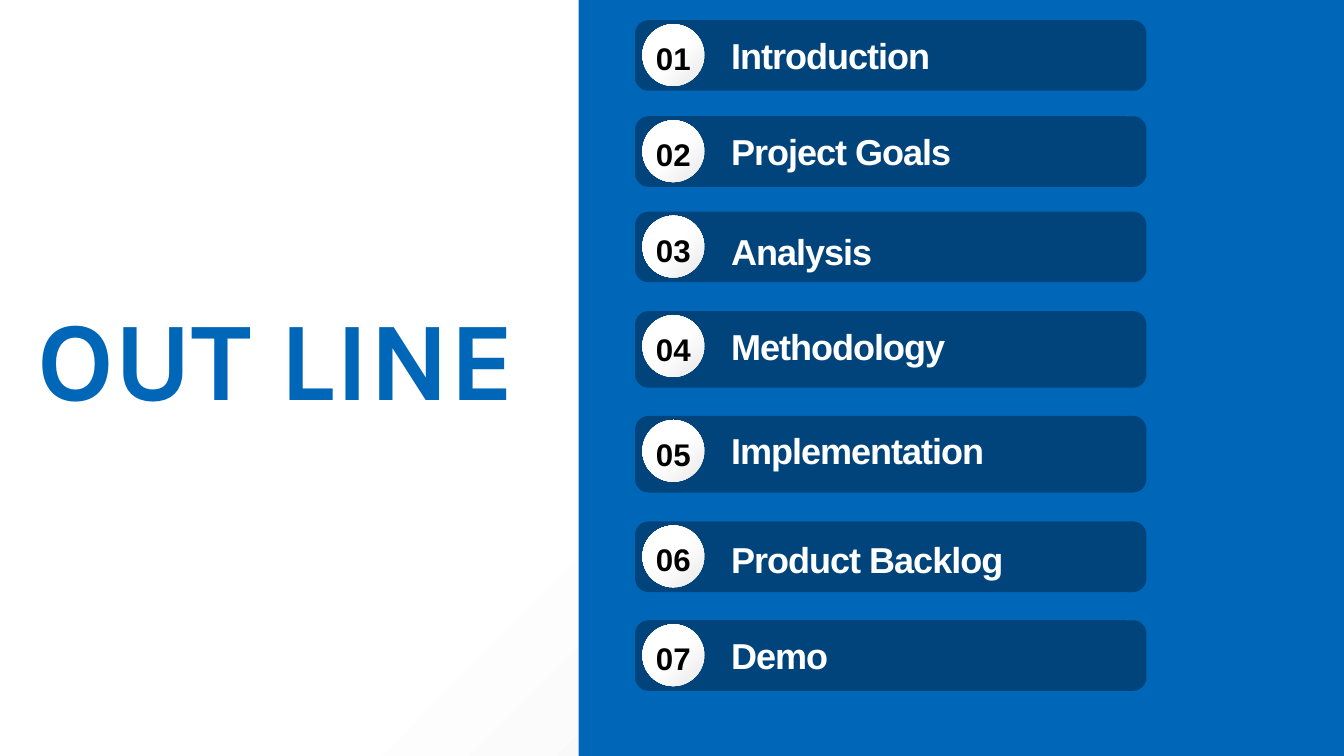
from pptx import Presentation
from pptx.dml.color import RGBColor
from pptx.enum.shapes import MSO_SHAPE as Shape
from pptx.enum.text import MSO_AUTO_SIZE as AutoSize, PP_ALIGN as Align
from pptx.oxml import parse_xml
from pptx.oxml.ns import nsdecls, qn
from pptx.util import Inches, Pt

COLORS = {
    "blue": "0066B8",
    "navy": "00447B",
    "white": "FFFFFF",
    "grey": "E8E8E8",
    "black": "000000",
}
GRADIENT_STOPS = [(0, "white"), (50, "white"), (100, "grey")]

# Font values, then line spacing, alignment and letter spacing in points
TITLE = {"font": {"name": "Karla", "size": Pt(120.3), "bold": True},
         "color": "blue", "line": 117.9, "align": Align.LEFT, "spacing": 0}
NUMBER = {"font": {"name": "Arial", "size": Pt(33.5), "bold": True},
          "color": "black", "line": 46.9, "align": Align.CENTER, "spacing": 0}
LABEL = {"font": {"name": "Arial", "size": Pt(38.6), "bold": True},
         "color": "white", "line": 46.4, "align": Align.LEFT, "spacing": -1.1}

BAR_LEFT, BAR_WIDTH, CORNER = 9.45, 7.61, 0.2
BADGE_LEFT, BADGE_SIZE = 9.56, 0.92
LABEL_LEFT = 10.88

# Label, bar top, bar height, label top, label width
TOPICS = [
    ("Introduction", 0.3, 1.05, 0.5, 3.04),
    ("Project Goals", 1.73, 1.05, 1.92, 6.17),
    ("Analysis", 3.15, 1.05, 3.41, 3.04),
    ("Methodology", 4.63, 1.14, 4.82, 5.47),
    ("Implementation", 6.19, 1.14, 6.38, 5.47),
    ("Product Backlog", 7.76, 1.05, 7.99, 4.62),
    ("Demo", 9.23, 1.05, 9.43, 3.04),
]


def rgb(name):
    return RGBColor.from_string(COLORS[name])


def set_radial_gradient(fill, owner):
    """Fill with a circular gradient that starts at the top left corner."""
    fill.gradient()
    stops = "".join(
        f'<a:gs pos="{position * 1000}"><a:srgbClr val="{COLORS[color]}"/></a:gs>'
        for position, color in GRADIENT_STOPS)
    radial = parse_xml(
        f'<a:gradFill {nsdecls("a")} rotWithShape="1"><a:gsLst>{stops}</a:gsLst>'
        '<a:path path="circle"><a:fillToRect r="100000" b="100000"/></a:path>'
        '</a:gradFill>')
    linear = next(owner.iter(qn("a:gradFill")))
    linear.getparent().replace(linear, radial)


def add_block(shapes, kind, left, top, width, height, color=None):
    shape = shapes.add_shape(
        kind, Inches(left), Inches(top), Inches(width), Inches(height))
    shape.shadow.inherit = False
    shape.line.fill.background()
    if color:
        shape.fill.solid()
        shape.fill.fore_color.rgb = rgb(color)
    else:
        set_radial_gradient(shape.fill, shape.element)
    return shape


def add_text(shapes, text, left, top, width, height, style):
    box = shapes.add_textbox(
        Inches(left), Inches(top), Inches(width), Inches(height))
    frame = box.text_frame
    frame_format = {"margin_left": 0, "margin_top": 0, "margin_right": 0,
                    "margin_bottom": 0, "word_wrap": True,
                    "auto_size": AutoSize.SHAPE_TO_FIT_TEXT}
    for name, value in frame_format.items():
        setattr(frame, name, value)
    paragraph = frame.paragraphs[0]
    paragraph.alignment = style["align"]
    paragraph.line_spacing = Pt(style["line"])
    run = paragraph.add_run()
    run.text = text
    for name, value in style["font"].items():
        setattr(run.font, name, value)
    run.font.color.rgb = rgb(style["color"])
    if style["spacing"]:
        run.font._element.set("spc", str(round(style["spacing"] * 100)))


def add_topic(slide, number, label, top, height, label_top, label_width):
    shapes = slide.shapes.add_group_shape().shapes
    bar = add_block(shapes, Shape.ROUNDED_RECTANGLE,
                    BAR_LEFT, top, BAR_WIDTH, height, "navy")
    bar.adjustments[0] = CORNER / height
    add_block(shapes, Shape.OVAL, BADGE_LEFT, top + 0.06, BADGE_SIZE, BADGE_SIZE)
    add_text(shapes, f"{number:02}", BADGE_LEFT, top + 0.19, BADGE_SIZE, 0.61, NUMBER)
    add_text(shapes, label, LABEL_LEFT, label_top, label_width, 0.65, LABEL)


def main():
    presentation = Presentation()
    presentation.slide_width = Inches(20)
    presentation.slide_height = Inches(11.25)
    slide = presentation.slides.add_slide(presentation.slide_layouts[6])

    # Background and blue panel
    set_radial_gradient(slide.background.fill, slide.element)
    add_block(slide.shapes, Shape.RECTANGLE, 8.61, -0.37, 11.91, 12.09, "blue")

    # Title
    add_text(slide.shapes, "OUT LINE", 0.56, 4.65, 7.38, 1.98, TITLE)

    # Numbered topics
    for number, topic in enumerate(TOPICS, start=1):
        add_topic(slide, number, *topic)

    presentation.save("out.pptx")


if __name__ == "__main__":
    main()
